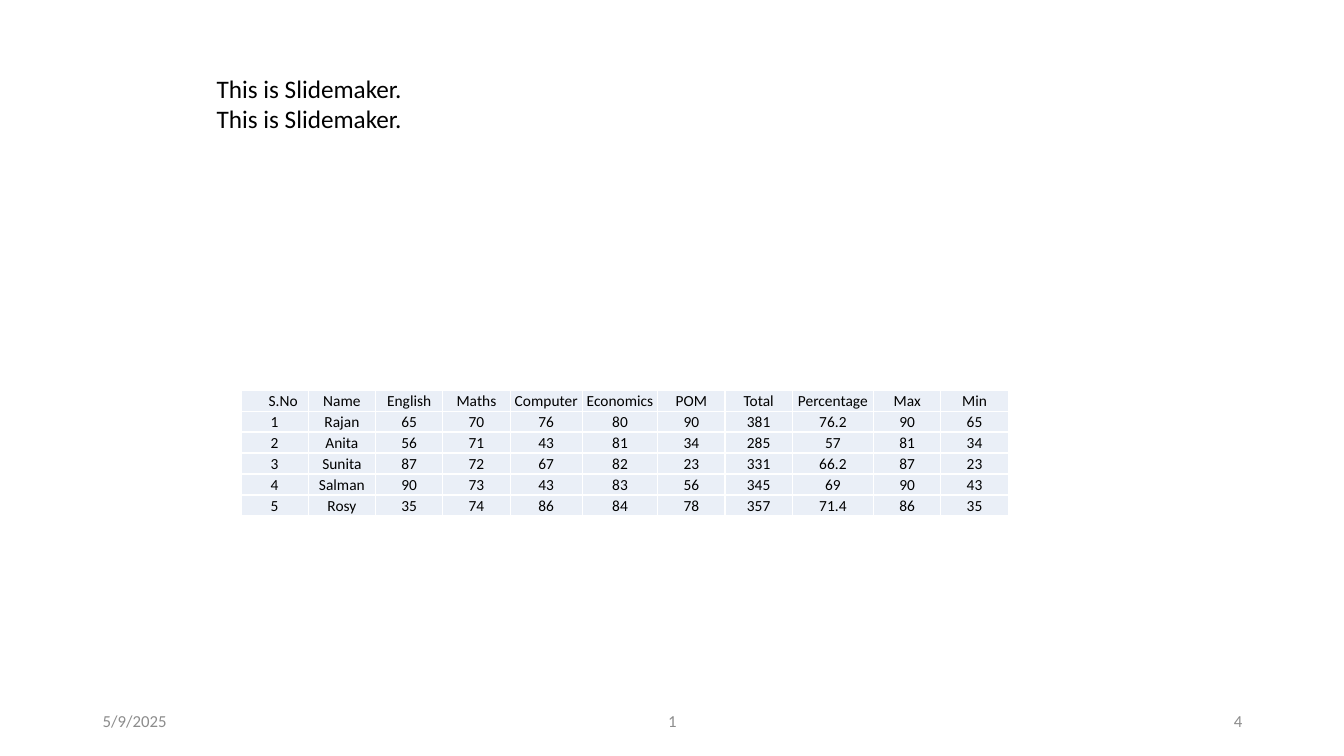
from lxml.etree import SubElement
from pptx import Presentation
from pptx.dml.color import RGBColor
from pptx.enum.text import MSO_ANCHOR as Anchor, MSO_AUTO_SIZE as AutoSize, PP_ALIGN as Align
from pptx.oxml.ns import qn
from pptx.util import Inches, Pt

BLACK = RGBColor(0x00, 0x00, 0x00)
GREY = RGBColor(0x8C, 0x8C, 0x8C)
PALE_BLUE = RGBColor(0xEA, 0xEF, 0xF7)
WHITE = RGBColor(0xFF, 0xFF, 0xFF)
FONT = "Calibri"

HEADINGS = ["S.No", "Name", "English", "Maths", "Computer", "Economics",
            "POM", "Total", "Percentage", "Max", "Min"]
COLUMN_SHARES = [0.67] * 4 + [0.72, 0.75, 0.67, 0.67, 0.81, 0.67, 0.67]
MARKS = {
    "Rajan": [65, 70, 76, 80, 90],
    "Anita": [56, 71, 43, 81, 34],
    "Sunita": [87, 72, 67, 82, 23],
    "Salman": [90, 73, 43, 83, 56],
    "Rosy": [35, 74, 86, 84, 78],
}


def format_text(frame, size, color, align):
    for paragraph in frame.paragraphs:
        paragraph.alignment = align
        for run in paragraph.runs:
            run.font.name = FONT
            run.font.size = Pt(size)
            run.font.color.rgb = color


def add_text(slide, box, text, size, color, align=Align.LEFT, anchor=Anchor.TOP):
    frame = slide.shapes.add_textbox(*map(Inches, box)).text_frame
    frame.word_wrap = True
    frame.vertical_anchor = anchor
    frame.text = text
    format_text(frame, size, color, align)
    return frame


def add_intro(slide, box):
    intro = add_text(slide, box, "This is Slidemaker.\nThis is Slidemaker.", 18, BLACK)
    intro.auto_size = AutoSize.SHAPE_TO_FIT_TEXT


def add_borders(cell):
    properties = cell._tc.get_or_add_tcPr()
    for side in ("a:lnL", "a:lnR", "a:lnT", "a:lnB"):
        line = SubElement(properties, qn(side), w=str(Pt(1)))
        fill = SubElement(line, qn("a:solidFill"))
        SubElement(fill, qn("a:srgbClr"), val=str(WHITE))


def fill_cell(cell, text):
    add_borders(cell)
    cell.fill.solid()
    cell.fill.fore_color.rgb = PALE_BLUE
    cell.vertical_anchor = Anchor.MIDDLE
    cell.margin_left = cell.margin_right = cell.margin_top = Inches(0.01)
    cell.margin_bottom = 0
    cell.text = text
    format_text(cell.text_frame, 11, BLACK, Align.CENTER)


def result_rows():
    rows = [HEADINGS]
    for number, (name, marks) in enumerate(MARKS.items(), 1):
        total = sum(marks)
        values = [*marks, total, total / len(marks), max(marks), min(marks)]
        rows.append([str(number), name, *(f"{value:g}" for value in values)])
    return rows


def add_results(slide, box):
    left, top, width, height = box
    rows = result_rows()
    results = slide.shapes.add_table(len(rows), len(HEADINGS), *map(Inches, box)).table
    for column, share in zip(results.columns, COLUMN_SHARES):
        column.width = Inches(width * share / sum(COLUMN_SHARES))
    for row, values in zip(results.rows, rows):
        row.height = Inches(height / len(rows))
        for cell, value in zip(row.cells, values):
            fill_cell(cell, value)
    results.cell(0, 0).margin_left = Inches(0.18)


def add_footer(slide, box):
    left, top, width, height = box
    side, middle = 3, 4.5
    parts = [
        ("5/9/2025", left, side, Align.LEFT),
        ("1", left + (width - middle) / 2, middle, Align.CENTER),
        ("4", left + width - side, side, Align.RIGHT),
    ]
    for text, x, part_width, align in parts:
        add_text(slide, (x, top, part_width, height), text, 12, GREY, align, Anchor.MIDDLE)


def main():
    deck = Presentation()
    deck.slide_width, deck.slide_height = Inches(13.33), Inches(7.5)
    slide = deck.slides.add_slide(deck.slide_layouts[6])
    add_results(slide, (2.39, 3.87, 7.61, 1.25))
    add_intro(slide, (2.05, 0.68, 8.45, 0.71))
    add_footer(slide, (0.92, 6.95, 11.5, 0.4))
    deck.save("out.pptx")


if __name__ == "__main__":
    main()
